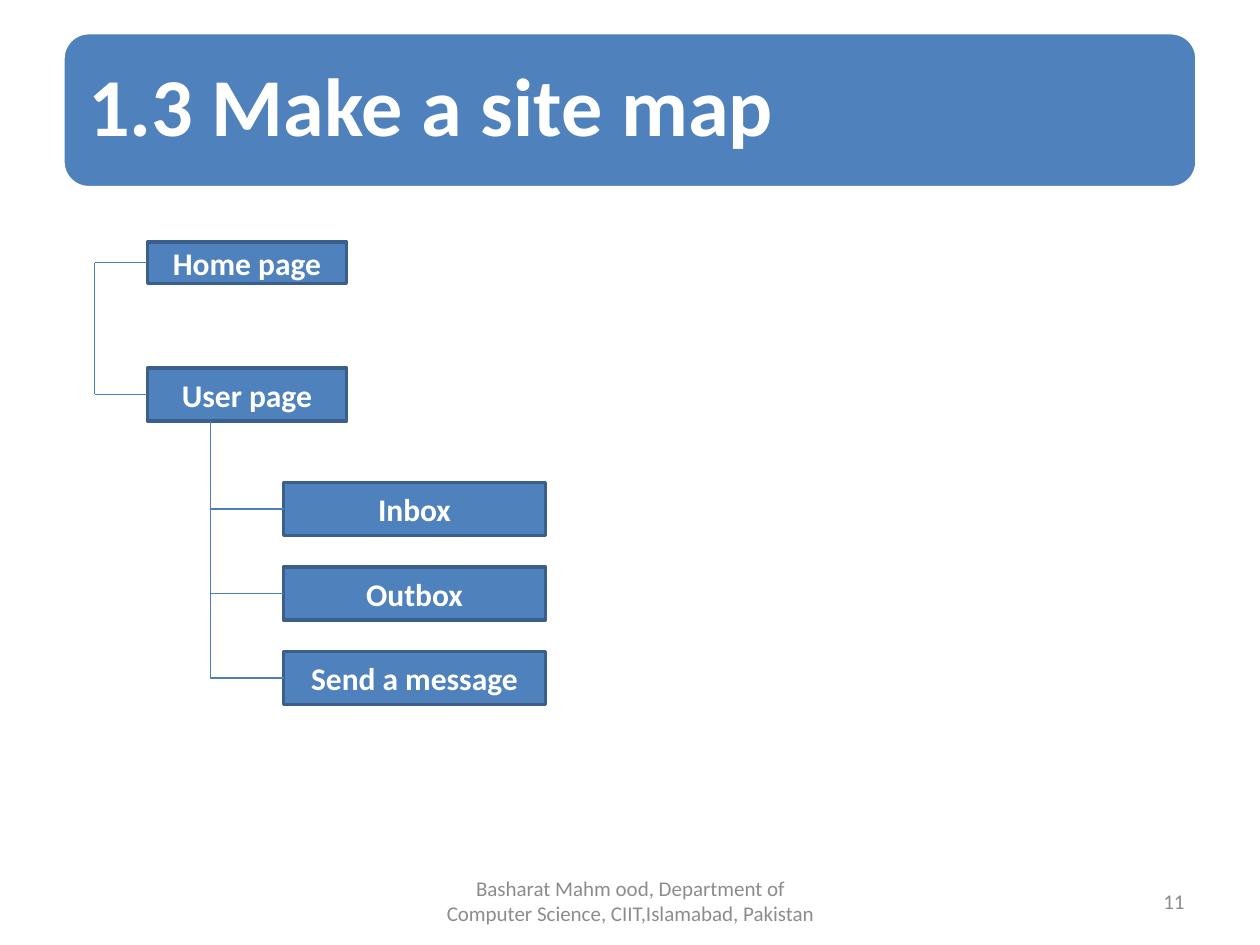
from lxml import etree
from pptx import Presentation
from pptx.dml.color import RGBColor
from pptx.enum import shapes, text
from pptx.oxml.ns import qn
from pptx.util import Inches, Pt

COLORS = {"blue": "4F81BD", "edge": "3A5F8C", "link": "4B7EBC",
          "white": "FFFFFF", "gray": "8C8C8C"}
LEFT_SIDE = 1


class SiteMapSlide:
    font = "Calibri"

    def __init__(self, deck):
        self.page = deck.slides.add_slide(deck.slide_layouts[5])

    def color(self, name):
        return RGBColor.from_string(COLORS[name])

    def fill_text(self, shape, words, size, color, align, bold=False, inset=None):
        frame = shape.text_frame
        frame.word_wrap = True
        frame.auto_size = text.MSO_AUTO_SIZE.NONE
        frame.vertical_anchor = text.MSO_ANCHOR.MIDDLE
        if inset is not None:
            for side in ("left", "top", "right", "bottom"):
                setattr(frame, f"margin_{side}", Inches(inset))
        para = frame.paragraphs[0]
        para.alignment = align
        span = para.add_run()
        span.text = words
        style = {"name": self.font, "size": Pt(size), "bold": bold}
        for key, value in style.items():
            setattr(span.font, key, value)
        span.font.color.rgb = self.color(color)

    def block(self, kind, place, edge):
        shape = self.page.shapes.add_shape(kind, *map(Inches, place))
        shape.shadow.inherit = False
        shape.fill.solid()
        shape.fill.fore_color.rgb = self.color("blue")
        shape.line.color.rgb = self.color(edge)
        shape.line.width = Pt(2)
        return shape

    def title(self, words, place):
        self.block(shapes.MSO_SHAPE.ROUNDED_RECTANGLE, place, "white")
        title = self.page.shapes.title
        title.left, title.top, title.width, title.height = map(Inches, place)
        self.fill_text(title, words, 47, "white", text.PP_ALIGN.LEFT, True, 0.2)
        title.text_frame.paragraphs[0].line_spacing = 0.9
        # Bring the title in front of its banner
        self.page.shapes._spTree.append(title._element)

    def node(self, words, *place):
        box = self.block(shapes.MSO_SHAPE.RECTANGLE, place, "edge")
        self.fill_text(box, words, 18, "white", text.PP_ALIGN.CENTER, True)
        return box

    def label(self, words, place, align):
        box = self.page.shapes.add_textbox(*map(Inches, place))
        self.fill_text(box, words, 12, "gray", align)

    def link(self, x1, y1, x2, y2, end_box=None):
        line = self.page.shapes.add_connector(
            shapes.MSO_CONNECTOR.STRAIGHT, x1, y1, x2, y2)
        if end_box is not None:
            line.end_connect(end_box, LEFT_SIDE)
        line.line.color.rgb = self.color("link")
        line.line.width = Pt(0.75)
        etree.SubElement(line._element.spPr, qn("a:effectLst"))


def middle(box):
    return box.top + box.height // 2


def main():
    deck = Presentation()
    deck.slide_width, deck.slide_height = Inches(10), Inches(7.5)
    slide = SiteMapSlide(deck)

    # Title banner and footer
    slide.title("1.3 Make a site map", (0.5, 0.26, 9, 1.23))
    slide.label("Basharat Mahm ood, Department of Computer Science, "
                "CIIT,Islamabad, Pakistan", (3.42, 6.95, 3.17, 0.4),
                text.PP_ALIGN.CENTER)
    slide.label("11", (7.17, 6.95, 2.33, 0.4), text.PP_ALIGN.RIGHT)

    # Top-level pages, bracketed on the left
    home = slide.node("Home page", 1.17, 1.92, 1.58, 0.33)
    user = slide.node("User page", 1.17, 2.92, 1.58, 0.42)
    bracket = Inches(0.75)
    for box in (home, user):
        slide.link(bracket, middle(box), box.left, middle(box), box)
    slide.link(bracket, middle(home), bracket, middle(user))

    # Pages under the user page, hung on a trunk
    trunk = Inches(1.67)
    joint = user.top + user.height
    for row, name in enumerate(("Inbox", "Outbox", "Send a message")):
        box = slide.node(name, 2.25, 3.83 + 0.67 * row, 2.08, 0.42)
        slide.link(trunk, joint, trunk, middle(box))
        slide.link(trunk, middle(box), box.left, middle(box), box)
        joint = middle(box)

    deck.save("out.pptx")


if __name__ == "__main__":
    main()
